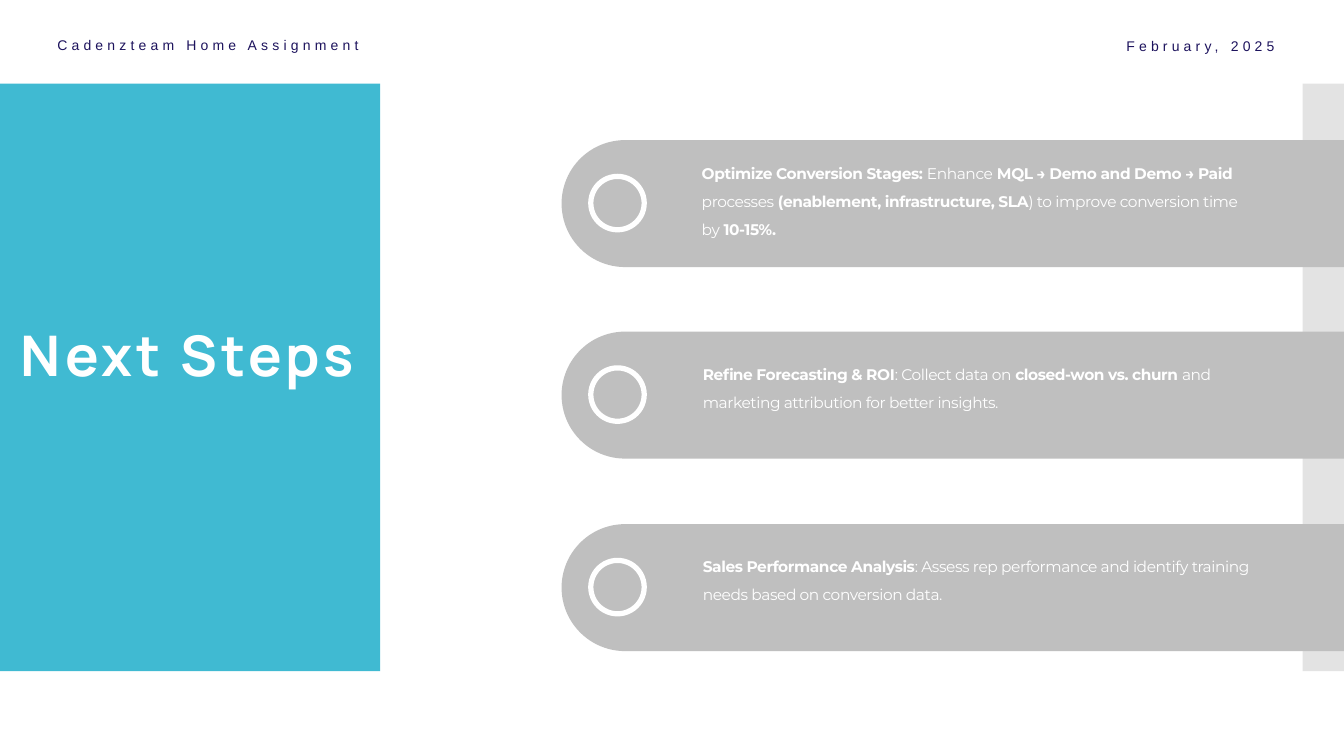
from dataclasses import dataclass

from lxml import etree
from pptx import Presentation
from pptx.dml.color import RGBColor
from pptx.enum import shapes, text
from pptx.oxml import ns
from pptx.util import Pt

PX = 9144  # EMU per px, 100 px to the inch
WIDTH, HEIGHT = 1333, 750


@dataclass(frozen=True)
class Theme:
    panel: str = "40BAD2"
    edge: str = "C8C8C8"
    pill: str = "BFBFBF"
    light: str = "FFFFFF"
    ink: str = "1D135D"
    title_font: str = "Manrope"
    body_font: str = "Montserrat"
    header_font: str = "Arial"
    title_size: int = 40
    body_size: int = 11
    header_size: int = 10


THEME = Theme()

# Each step: left, top and height of its text within the pill, then (words, bold) runs
STEPS = [
    (109, 10, 110, [
        ("Optimize Conversion Stages: ", True),
        ("Enhance", False),
        (" MQL → Demo and Demo → Paid ", True),
        ("processes ", False),
        ("(enablement, infrastructure, SLA", True),
        (") to improve conversion time by ", False),
        ("10-15%.", True),
    ]),
    (110, 19, 82, [
        ("Refine Forecasting & ROI", True),
        (": Collect data on ", False),
        ("closed-won vs. churn ", True),
        ("and marketing attribution for better insights.", False),
    ]),
    (110, 19, 82, [
        ("Sales Performance Analysis", True),
        (": Assess rep performance and identify training needs "
         "based on conversion data.", False),
    ]),
]


def emu(*lengths):
    return [length * PX for length in lengths]


def add_shape(slide, kind, box, fill=None, line=None, line_width=0):
    shape = slide.shapes.add_shape(kind, *emu(*box))
    shape.shadow.inherit = False
    if fill:
        shape.fill.solid()
        shape.fill.fore_color.rgb = RGBColor.from_string(fill)
    else:
        shape.fill.background()
    if line:
        shape.line.color.rgb = RGBColor.from_string(line)
        shape.line.width = Pt(line_width)
    else:
        shape.line.fill.background()
    return shape


def set_opacity(shape, percent):
    color = shape._element.spPr.find(ns.qn("a:solidFill"))[0]
    etree.SubElement(color, ns.qn("a:alpha")).set("val", str(percent * 1000))


def format_run(run, font, size, color, spacing, bold=False):
    """Spacing is the letter spacing in points."""
    run.font.name = font
    run.font.size = Pt(size)
    run.font.bold = bold
    run.font.color.rgb = RGBColor.from_string(color)
    run.font._element.set("spc", str(round(spacing * 100)))


def add_text_box(slide, box, runs, line_spacing, before, after):
    """Add a wrapping, growing one-paragraph box and return it with its paragraph."""
    shape = slide.shapes.add_textbox(*emu(*box))
    frame = shape.text_frame
    frame.word_wrap = True
    frame.auto_size = text.MSO_AUTO_SIZE.SHAPE_TO_FIT_TEXT
    paragraph = frame.paragraphs[0]
    paragraph.line_spacing = line_spacing
    paragraph.space_before, paragraph.space_after = Pt(before), Pt(after)
    for words in runs:
        paragraph.add_run().text = words
    return shape, paragraph


def add_header(slide, box, words, alignment):
    _, paragraph = add_text_box(slide, box, [words], 1.45, 12, 6)
    paragraph.alignment = alignment
    format_run(paragraph.runs[0], THEME.header_font, THEME.header_size, THEME.ink, 3)


def add_title_panel(slide, box, words):
    left, top, width, height = box
    add_shape(slide, shapes.MSO_SHAPE.RECTANGLE, box, THEME.panel)
    title = slide.shapes.title
    slide.shapes._spTree.append(title._element)  # bring in front of the panel
    title.left, title.top, title.width, title.height = emu(
        left - 39, top + 225, width + 73, 82)
    frame = title.text_frame
    frame.text = words
    frame.word_wrap = True
    frame.auto_size = text.MSO_AUTO_SIZE.NONE
    frame.vertical_anchor = text.MSO_ANCHOR.BOTTOM
    paragraph = frame.paragraphs[0]
    paragraph.alignment = text.PP_ALIGN.CENTER
    paragraph.line_spacing = 1.1
    paragraph.space_before = Pt(0)
    format_run(paragraph.runs[0], THEME.title_font, THEME.title_size,
               THEME.light, 3, bold=True)


def add_step(slide, box, step):
    left, top, _, _ = box
    text_left, text_top, text_height, runs = step
    pill = add_shape(slide, shapes.MSO_SHAPE.ROUNDED_RECTANGLE, box, THEME.pill)
    pill.adjustments[0] = 0.5
    add_shape(slide, shapes.MSO_SHAPE.OVAL, (left + 29, top + 36, 53, 53),
              line=THEME.light, line_width=3.75)
    text_box, paragraph = add_text_box(
        slide, (left + text_left, top + text_top, 582, text_height),
        [words for words, _ in runs], 1.5, 6, 6)
    frame = text_box.text_frame
    frame.margin_left = frame.margin_right = 5 * PX
    frame.margin_top = frame.margin_bottom = 5 * PX
    properties = paragraph._p.get_or_add_pPr()
    properties.set("marL", str(25 * PX))
    properties.set("indent", "0")
    for run, (_, bold) in zip(paragraph.runs, runs):
        format_run(run, THEME.body_font, THEME.body_size, THEME.light, -0.3, bold)


def add_steps(slide, box, steps, pill_height=126):
    """Spread the steps evenly from the top to the bottom of the box."""
    left, top, width, height = box
    for index, step in enumerate(steps):
        offset = (height - pill_height) * index // (len(steps) - 1)
        add_step(slide, (left, top + offset, width, pill_height), step)


def build_next_steps(presentation):
    slide = presentation.slides.add_slide(presentation.slide_layouts[5])
    add_title_panel(slide, (0, 83, 377, 583), "Next Steps")
    edge = add_shape(slide, shapes.MSO_SHAPE.RECTANGLE,
                     (1292, 83, WIDTH - 1292, 583), THEME.edge)
    set_opacity(edge, 50)
    add_steps(slide, (557, 139, 860, 507), STEPS)
    add_header(slide, (47, 24, 364, 33), "Cadenzteam Home Assignment",
               text.PP_ALIGN.LEFT)
    add_header(slide, (1100, 25, 174, 32), "February, 2025", text.PP_ALIGN.RIGHT)


def main():
    presentation = Presentation()
    presentation.slide_width, presentation.slide_height = emu(WIDTH, HEIGHT)
    build_next_steps(presentation)
    presentation.save("out.pptx")


if __name__ == "__main__":
    main()
